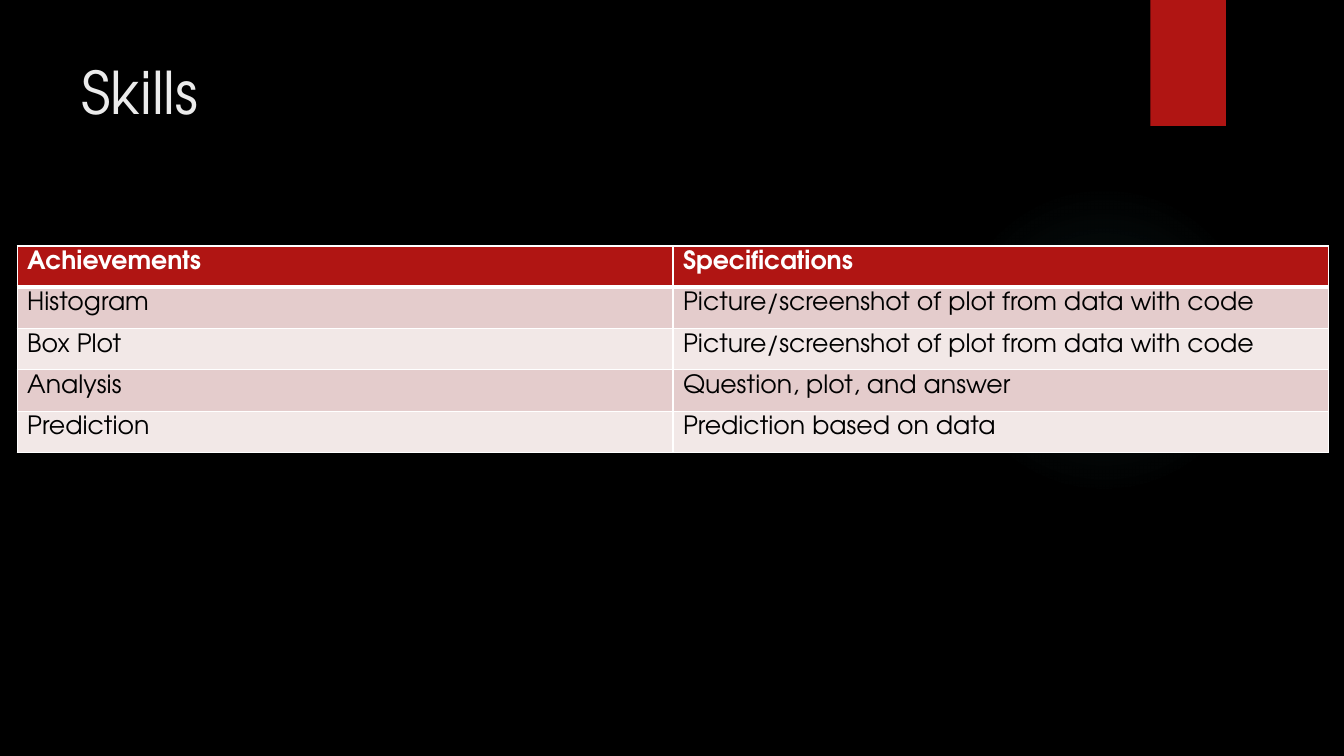
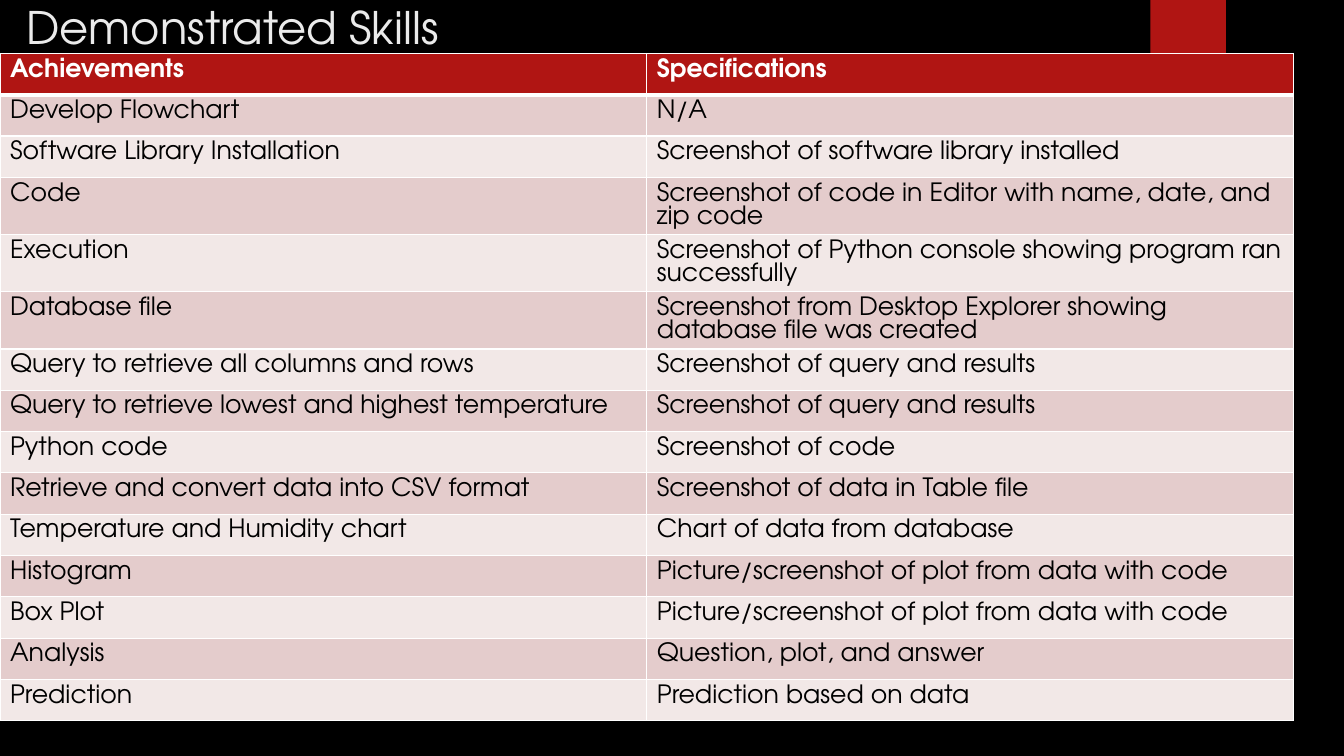
from dataclasses import dataclass

from lxml import etree
from pptx import Presentation
from pptx.dml.color import RGBColor
from pptx.enum.shapes import MSO_SHAPE
from pptx.enum.text import MSO_ANCHOR, MSO_AUTO_SIZE
from pptx.oxml import parse_xml
from pptx.oxml.ns import nsdecls, qn
from pptx.util import Inches, Pt

RECT, OVAL = MSO_SHAPE.RECTANGLE, MSO_SHAPE.OVAL
TOP, MIDDLE = MSO_ANCHOR.TOP, MSO_ANCHOR.MIDDLE
NO_FIT = MSO_AUTO_SIZE.NONE
TITLE_ONLY = 5


@dataclass(frozen=True)
class Theme:
    font: str = "TeX Gyre Adventor"
    back: str = "000000"
    red: str = "B01513"
    glow: str = "50B9C1"
    title: str = "EBEBEB"
    white: str = "FFFFFF"
    black: str = "000000"
    bands: tuple = ("E4CCCC", "F2E8E7")
    body: int = 18
    large: int = 42
    small: int = 32
    row: float = 0.41
    thin: int = 1
    thick: int = 3


THEME = Theme()
HEAD = ("Achievements", "Specifications")
FINAL = [
    ("Histogram", "Picture/screenshot of plot from data with code"),
    ("Box Plot", "Picture/screenshot of plot from data with code"),
    ("Analysis", "Question, plot, and answer"),
    ("Prediction", "Prediction based on data"),
]
EARLY = [
    ("Develop Flowchart", "N/A"),
    ("Software Library Installation", "Screenshot of software library installed"),
    ("Code", "Screenshot of code in Editor with name, date, and zip code"),
    ("Execution", "Screenshot of Python console showing program ran successfully"),
    ("Database file",
     "Screenshot from Desktop Explorer showing database file was created"),
    ("Query to retrieve all columns and rows", "Screenshot of query and results"),
    ("Query to retrieve lowest and highest temperature",
     "Screenshot of query and results"),
    ("Python code", "Screenshot of code"),
    ("Retrieve and convert data into CSV format",
     "Screenshot of data in Table file"),
    ("Temperature and Humidity chart", "Chart of data from database"),
]


def color(code):
    return RGBColor.from_string(code)


def write(frame, text, size=THEME.body, ink=THEME.black, bold=False):
    frame.word_wrap = True
    run = frame.paragraphs[0].add_run()
    run.text = text
    font = run.font
    font.name, font.size, font.bold = THEME.font, Pt(size), bold
    font.color.rgb = color(ink)


def add_shape(slide, kind, box, fill):
    shape = slide.shapes.add_shape(kind, *map(Inches, box))
    shape.shadow.inherit = False
    shape.line.fill.background()
    shape.fill.solid()
    shape.fill.fore_color.rgb = color(fill)
    return shape


def add_glow(slide):
    """Add a faint disc that fades out from its centre."""
    disc = add_shape(slide, OVAL, (9.41, 1.83, 3.08, 3.08), THEME.glow)
    stops = "".join(
        f'<a:gs pos="{place * 1000}"><a:srgbClr val="{THEME.glow}">'
        f'<a:alpha val="{alpha * 1000}"/></a:srgbClr></a:gs>'
        for place, alpha in ((0, 7), (36, 6), (69, 0), (100, 0)))
    fade = parse_xml(
        f'<a:gradFill {nsdecls("a")}><a:gsLst>{stops}</a:gsLst>'
        '<a:path path="circle"><a:fillToRect l="50000" t="50000" '
        'r="50000" b="50000"/></a:path></a:gradFill>')
    props = disc.fill._xPr
    props.replace(props.find(qn("a:solidFill")), fade)


def add_page(deck, text, box, size, anchor):
    slide = deck.slides.add_slide(deck.slide_layouts[TITLE_ONLY])
    add_glow(slide)
    add_shape(slide, RECT, (11.41, 0, 0.75, 1.25), THEME.red)
    title = slide.shapes.title
    title.left, title.top, title.width, title.height = map(Inches, box)
    frame = title.text_frame
    frame.auto_size, frame.vertical_anchor = NO_FIT, anchor
    write(frame, text, size=size, ink=THEME.title)
    frame.paragraphs[0].alignment = 1
    return slide


def edge(cell, top, bottom):
    """Draw the four white borders of a cell, widths in points."""
    props = cell._tc.get_or_add_tcPr()
    sides = (("L", THEME.thin), ("R", THEME.thin), ("T", top), ("B", bottom))
    for index, (side, width) in enumerate(sides):
        line = etree.Element(qn(f"a:ln{side}"), w=str(Pt(width)))
        fill = etree.SubElement(line, qn("a:solidFill"))
        etree.SubElement(fill, qn("a:srgbClr"), val=THEME.white)
        props.insert(index, line)


def add_table(slide, left, top, width, rows):
    data = [HEAD, *rows]
    size = (left, top, width, THEME.row * len(data))
    table = slide.shapes.add_table(
        len(data), len(HEAD), *map(Inches, size)).table
    for i, texts in enumerate(data):
        table.rows[i].height = Inches(THEME.row)
        head = i == 0
        fill = THEME.red if head else THEME.bands[(i - 1) % 2]
        for cell, text in zip(table.rows[i].cells, texts):
            cell.fill.solid()
            cell.fill.fore_color.rgb = color(fill)
            edge(cell, THEME.thick if i == 1 else THEME.thin,
                 THEME.thick if head else THEME.thin)
            write(cell.text_frame, text, bold=head,
                  ink=THEME.white if head else THEME.black)


def main():
    deck = Presentation()
    deck.slide_width, deck.slide_height = Inches(13.33), Inches(7.5)
    back = deck.slide_master.background.fill
    back.solid()
    back.fore_color.rgb = color(THEME.back)

    skills = add_page(deck, "Skills", (0.71, 0.5, 10.29, 1.53),
                      THEME.large, TOP)
    add_table(skills, 0.17, 2.44, 13.01, FINAL)

    shown = add_page(deck, "Demonstrated Skills", (0.16, 0, 5.38, 0.53),
                     THEME.small, MIDDLE)
    add_table(shown, 0, 0.53, 12.83, EARLY + FINAL)
    deck.save("out.pptx")


if __name__ == "__main__":
    main()
